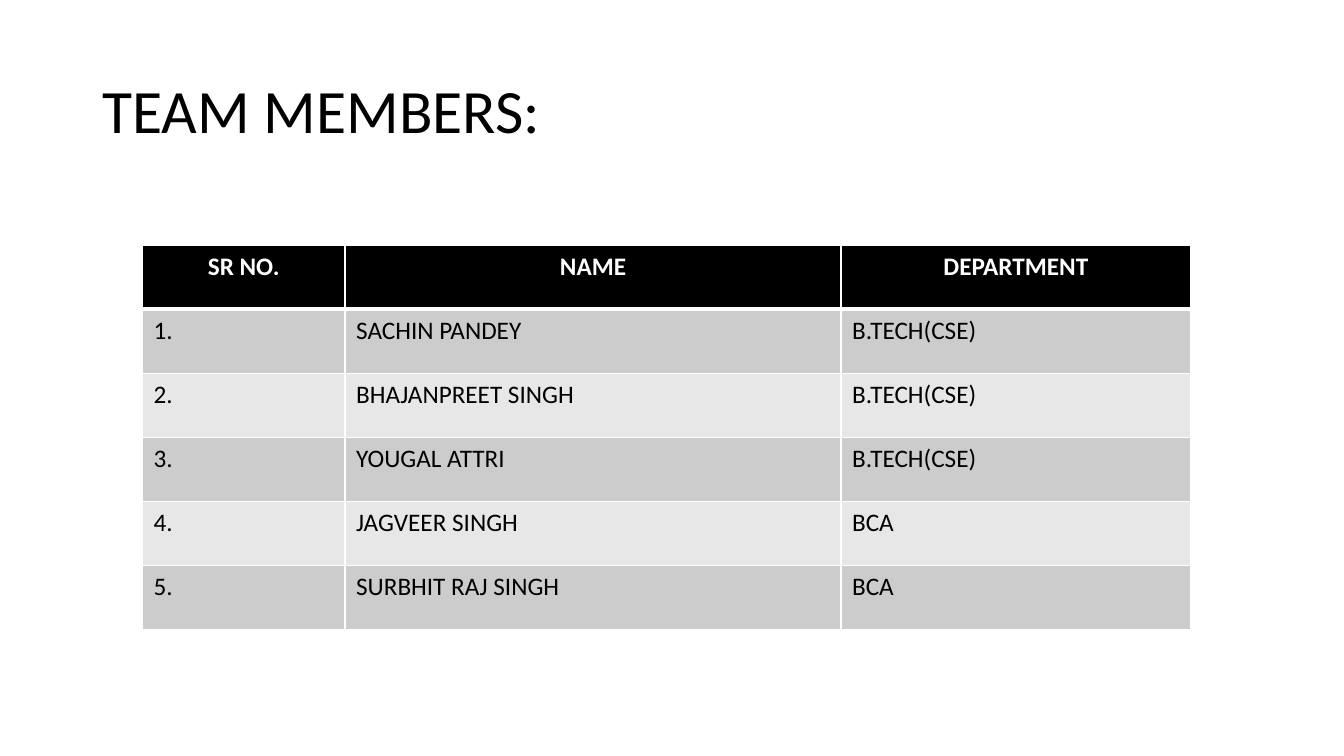
import pptx
import pptx.util
import pptx.dml.color
import pptx.enum.text
import pptx.oxml
import pptx.oxml.ns

Pt = pptx.util.Pt
FONT = "Calibri"
COLOURS = {
    "ink": "000000",
    "paper": "FFFFFF",
    "odd_row": "CCCCCC",
    "even_row": "E7E7E7",
}
HEADINGS = ("SR NO.", "NAME", "DEPARTMENT")
MEMBERS = (
    ("SACHIN PANDEY", "B.TECH(CSE)"),
    ("BHAJANPREET SINGH", "B.TECH(CSE)"),
    ("YOUGAL ATTRI", "B.TECH(CSE)"),
    ("JAGVEER SINGH", "BCA"),
    ("SURBHIT RAJ SINGH", "BCA"),
)
COLUMN_WIDTHS = (144.7, 354.3, 249.8)


def colour(name):
    """Return the named colour as an RGBColor."""
    return pptx.dml.color.RGBColor.from_string(COLOURS[name])


def format_text(paragraph, size, ink, bold=False):
    """Set the font of every run in a paragraph."""
    for run in paragraph.runs:
        run.font.name = FONT
        run.font.size = Pt(size)
        run.font.bold = bold
        run.font.color.rgb = colour(ink)


def add_border(cell, side, width):
    """Add a white border to one side of a cell, ahead of its fill."""
    border = pptx.oxml.parse_xml(
        f'<a:{side} {pptx.oxml.ns.nsdecls("a")} w="{Pt(width)}"><a:solidFill>'
        f'<a:srgbClr val="{COLOURS["paper"]}"/></a:solidFill></a:{side}>'
    )
    properties = cell._tc.get_or_add_tcPr()
    borders = [child for child in properties if child.tag.split("}")[1].startswith("ln")]
    properties.insert(len(borders), border)


def format_cell(cell, row):
    """Style a cell according to its row."""
    is_heading = row == 0
    cell.margin_left = cell.margin_right = Pt(7.92)
    cell.margin_top = cell.margin_bottom = Pt(4.32)
    cell.fill.solid()
    cell.fill.fore_color.rgb = colour(
        "ink" if is_heading else "odd_row" if row % 2 else "even_row"
    )
    for side, heavy_row in (("lnL", None), ("lnR", None), ("lnT", 1), ("lnB", 0)):
        add_border(cell, side, 3 if row == heavy_row else 1)
    paragraph = cell.text_frame.paragraphs[0]
    if is_heading:
        paragraph.alignment = pptx.enum.text.PP_ALIGN.CENTER
    format_text(paragraph, 18, "paper" if is_heading else "ink", is_heading)


def add_title(slide, left, top, width, height):
    """Place the slide title in the given box."""
    title = slide.shapes.add_textbox(Pt(left), Pt(top), Pt(width), Pt(height))
    frame = title.text_frame
    frame.word_wrap = True
    frame.vertical_anchor = pptx.enum.text.MSO_ANCHOR.MIDDLE
    frame.text = "TEAM MEMBERS:"
    frame.paragraphs[0].line_spacing = 0.9
    format_text(frame.paragraphs[0], 44, "ink")


def add_members(slide, left, top, width, height):
    """Place the numbered table of members in the given box."""
    rows = [HEADINGS]
    rows += [(f"{number}.", *member) for number, member in enumerate(MEMBERS, 1)]
    members = slide.shapes.add_table(
        len(rows), len(HEADINGS), Pt(left), Pt(top), Pt(width), Pt(height)
    ).table
    for column, share in zip(members.columns, COLUMN_WIDTHS):
        column.width = Pt(width * share / sum(COLUMN_WIDTHS))
    for row, entries in enumerate(rows):
        for column, entry in enumerate(entries):
            cell = members.cell(row, column)
            cell.text_frame.text = entry
            format_cell(cell, row)


def main():
    """Build the team slide and save it."""
    deck = pptx.Presentation()
    deck.slide_width, deck.slide_height = Pt(960), Pt(540)
    slide = deck.slides.add_slide(deck.slide_layouts[6])
    add_title(slide, 66, 28.75, 828, 104.4)
    add_members(slide, 101.8, 175, 748.8, 275)
    deck.save("out.pptx")


if __name__ == "__main__":
    main()
